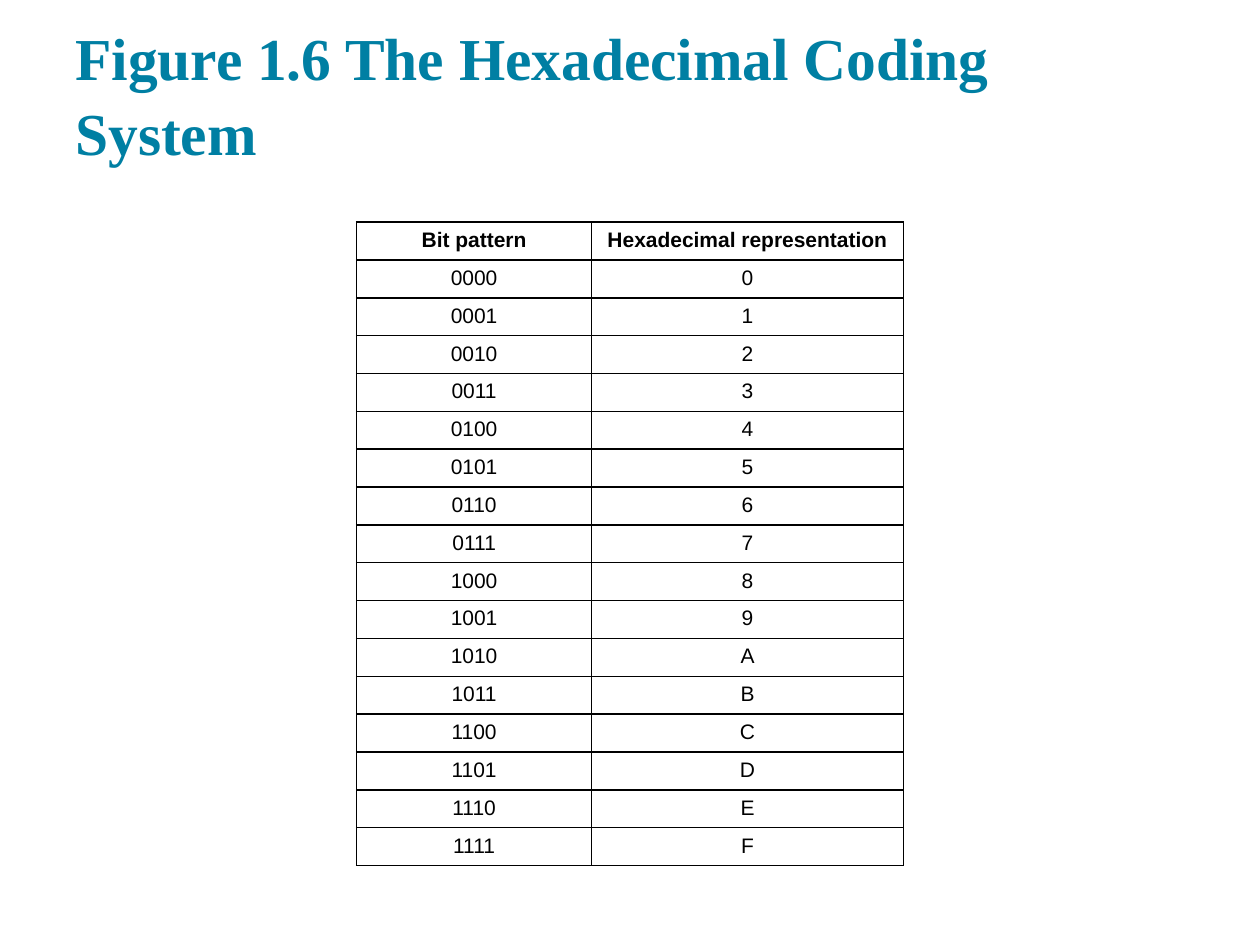
import pptx
import pptx.dml.color
import pptx.enum.text
import pptx.oxml
import pptx.oxml.ns
import pptx.util

COLORS = {"title": "007FA3", "ink": "000000", "paper": "FFFFFF"}
PAGE_WIDTH = pptx.util.Inches(10)
PAGE_HEIGHT = pptx.util.Inches(7.5)
HEADINGS = ("Bit pattern", "Hexadecimal representation")
COLUMN_SHARES = (0.43, 0.57)
CELL_SIDES = ("lnL", "lnR", "lnT", "lnB")


def share_box(left, top, width, height):
    return (int(PAGE_WIDTH * left), int(PAGE_HEIGHT * top),
            int(PAGE_WIDTH * width), int(PAGE_HEIGHT * height))


def write_text(frame, text, font="Arial", size=12, color="ink", bold=False,
               align=pptx.enum.text.PP_ALIGN.CENTER, spacing=1.0):
    para = frame.paragraphs[0]
    para.alignment = align
    para.line_spacing = spacing
    span = para.add_run()
    span.text = text
    span.font.name = font
    span.font.size = pptx.util.Pt(size)
    span.font.bold = bold
    span.font.color.rgb = pptx.dml.color.RGBColor.from_string(COLORS[color])


def draw_borders(cell, color="ink", points=1):
    properties = cell._tc.get_or_add_tcPr()
    for position, side in enumerate(CELL_SIDES):
        border = pptx.oxml.parse_xml(
            f'<a:{side} {pptx.oxml.ns.nsdecls("a")} w="{pptx.util.Pt(points)}">'
            f'<a:solidFill><a:srgbClr val="{COLORS[color]}"/></a:solidFill>'
            f'</a:{side}>')
        properties.insert(position, border)


def add_title(page, box, text):
    frame = page.shapes.add_textbox(*box).text_frame
    frame.word_wrap = True
    frame.vertical_anchor = pptx.enum.text.MSO_ANCHOR.BOTTOM
    frame.margin_left = frame.margin_right = pptx.util.Inches(0.1)
    frame.margin_top = frame.margin_bottom = pptx.util.Inches(0.1)
    write_text(frame, text, font="Times New Roman", size=34, color="title",
               bold=True, align=pptx.enum.text.PP_ALIGN.LEFT, spacing=1.05)


def add_code_table(page, box, rows):
    table = page.shapes.add_table(len(rows), len(HEADINGS), *box).table
    table.horz_banding = False
    for column, share in zip(table.columns, COLUMN_SHARES):
        column.width = int(box[2] * share)
    for row_index, values in enumerate(rows):
        for column_index, value in enumerate(values):
            cell = table.cell(row_index, column_index)
            cell.fill.solid()
            cell.fill.fore_color.rgb = pptx.dml.color.RGBColor.from_string(COLORS["paper"])
            write_text(cell.text_frame, value, bold=row_index == 0)
            draw_borders(cell)


def main():
    deck = pptx.Presentation()
    deck.slide_width = PAGE_WIDTH
    deck.slide_height = PAGE_HEIGHT
    page = deck.slides.add_slide(deck.slide_layouts[6])
    add_title(page, share_box(0.05, 0.03, 0.9, 0.16),
              "Figure 1.6 The Hexadecimal Coding System")
    codes = [(f"{number:04b}", f"{number:X}") for number in range(16)]
    add_code_table(page, share_box(0.283, 0.235, 0.434, 0.65), [HEADINGS, *codes])
    deck.save("out.pptx")


if __name__ == "__main__":
    main()
